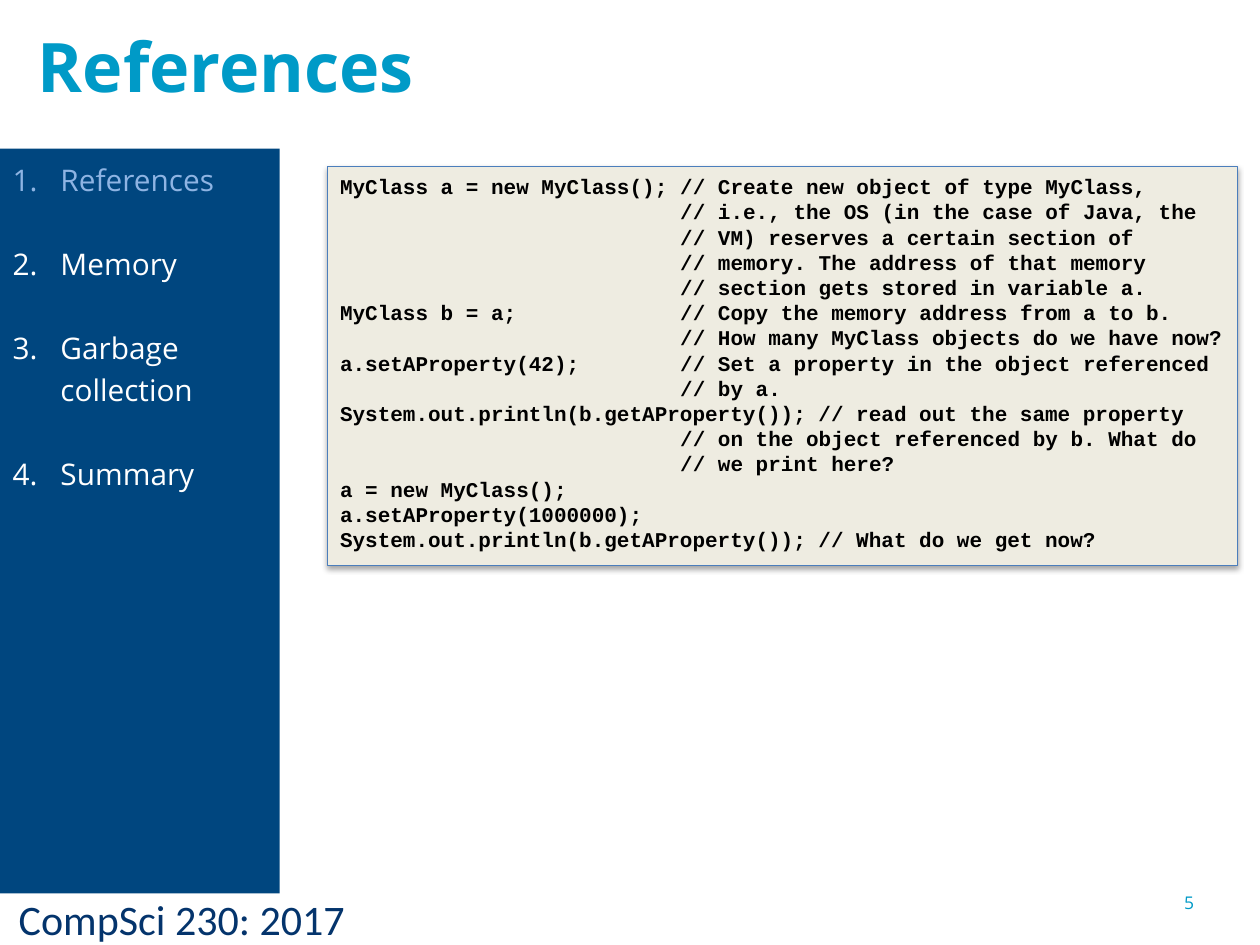
from dataclasses import dataclass

from lxml.etree import SubElement
from pptx import Presentation
from pptx.dml.color import RGBColor
from pptx.enum.shapes import MSO_SHAPE
from pptx.enum.text import MSO_ANCHOR, MSO_AUTO_SIZE, PP_ALIGN
from pptx.oxml.ns import qn
from pptx.util import Inches, Pt

COLORS = {
    "title": "009AC7",
    "footer": "04346C",
    "sidebar": "00467F",
    "current": "8EB4E3",
    "topic": "FFFFFF",
    "panel": "EEECE1",
    "panel_line": "4B7EBC",
    "code": "000000",
}


@dataclass(frozen=True)
class Area:
    left: float
    top: float
    width: float
    height: float

    def lengths(self) -> tuple:
        return tuple(Inches(n) for n in (self.left, self.top, self.width, self.height))


@dataclass(frozen=True)
class Style:
    font: str
    size: float
    color: str
    bold: bool = False


@dataclass(frozen=True)
class Topic:
    text: str
    color: str = "topic"


@dataclass(frozen=True)
class CodeLine:
    code: str
    comment: str = ""
    gap: str = "\t"

    def text(self) -> str:
        return self.code + self.gap + self.comment if self.comment else self.code


TOPICS = [
    Topic("References", "current"),
    Topic("Memory"),
    Topic("Garbage collection"),
    Topic("Summary"),
]
CODE = [
    CodeLine("MyClass a = new MyClass();", "// Create new object of type MyClass,"),
    CodeLine("", "// i.e., the OS (in the case of Java, the"),
    CodeLine("", "// VM) reserves a certain section of"),
    CodeLine("", "// memory. The address of that memory"),
    CodeLine("", "// section gets stored in variable a."),
    CodeLine("MyClass b = a;", "// Copy the memory address from a to b."),
    CodeLine("", "// How many MyClass objects do we have now?"),
    CodeLine("a.setAProperty(42);", "// Set a property in the object referenced"),
    CodeLine("", "// by a."),
    CodeLine("System.out.println(b.getAProperty());", "// read out the same property", " "),
    CodeLine("", "// on the object referenced by b. What do"),
    CodeLine("", "// we print here?"),
    CodeLine("a = new MyClass();"),
    CodeLine("a.setAProperty(1000000);"),
    CodeLine("System.out.println(b.getAProperty());", "// What do we get now?", " "),
]
COMMENT_COLUMN = 2.7
CODE_STYLE = Style("Courier New", 12, "code", True)


def paint(shape, color: str) -> None:
    shape.fill.solid()
    shape.fill.fore_color.rgb = RGBColor.from_string(COLORS[color])


def place(shape, area: Area, anchor=MSO_ANCHOR.TOP):
    shape.left, shape.top, shape.width, shape.height = area.lengths()
    frame = shape.text_frame
    frame.word_wrap = True
    frame.auto_size = MSO_AUTO_SIZE.NONE
    frame.vertical_anchor = anchor
    return frame


def write(para, text: str, style: Style) -> None:
    para.alignment = PP_ALIGN.LEFT
    para.space_before = Pt(0)
    span = para.add_run()
    span.text = text
    span.font.name = style.font
    span.font.size = Pt(style.size)
    span.font.bold = style.bold
    span.font.color.rgb = RGBColor.from_string(COLORS[style.color])


def next_paragraph(frame, index: int):
    return frame.add_paragraph() if index else frame.paragraphs[0]


def add_text_frame(page, area: Area):
    return place(page.shapes.add_textbox(*area.lengths()), area)


def add_label(page, area: Area, text: str, style: Style) -> None:
    write(add_text_frame(page, area).paragraphs[0], text, style)


def add_panel(page, area: Area) -> None:
    panel = page.shapes.add_shape(MSO_SHAPE.RECTANGLE, *area.lengths())
    paint(panel, "panel")
    panel.line.color.rgb = RGBColor.from_string(COLORS["panel_line"])
    panel.line.width = Pt(0.75)
    panel.shadow.inherit = False
    effects = panel._element.spPr.find(qn("a:effectLst"))
    shadow = SubElement(effects, qn("a:outerShdw"), blurRad=str(Pt(3.1)),
                        dist=str(Pt(1.8)), dir="5400000", rotWithShape="0")
    color = SubElement(shadow, qn("a:srgbClr"), val="000000")
    SubElement(color, qn("a:alpha"), val="35000")


def fill_code(frame) -> None:
    for index, line in enumerate(CODE):
        para = next_paragraph(frame, index)
        write(para, line.text(), CODE_STYLE)
        para.line_spacing = Pt(14.4)
        tabs = SubElement(para._p.get_or_add_pPr(), qn("a:tabLst"))
        SubElement(tabs, qn("a:tab"), pos=str(Inches(COMMENT_COLUMN)), algn="l")


def fill_topics(frame) -> None:
    for index, topic in enumerate(TOPICS):
        para = next_paragraph(frame, index)
        write(para, topic.text, Style("Open Sans", 17, topic.color))
        para.line_spacing = Pt(24)
        para.space_after = Pt(24)
        properties = para._p.get_or_add_pPr()
        properties.set("marL", str(Inches(0.38)))
        properties.set("indent", str(Inches(-0.38)))
        SubElement(properties, qn("a:buFont"), typeface="+mj-lt")
        SubElement(properties, qn("a:buAutoNum"), type="arabicPeriod")


deck = Presentation()
deck.slide_width, deck.slide_height = Inches(10), Inches(7.5)
page = deck.slides.add_slide(deck.slide_layouts[1])
title, sidebar = page.placeholders[0], page.placeholders[1]

title_frame = place(title, Area(0.2, 0.13, 7.13, 0.78), MSO_ANCHOR.MIDDLE)
write(title_frame.paragraphs[0], "References", Style("Open Sans", 39, "title", True))
paint(sidebar, "sidebar")
fill_topics(place(sidebar, Area(0, 1.18, 2.22, 5.91)))
add_panel(page, Area(2.6, 1.32, 7.22, 3.17))
fill_code(add_text_frame(page, Area(2.6, 1.33, 7.29, 3.07)))
add_label(page, Area(0.05, 7.04, 4.05, 0.5), "CompSci 230: 2017", Style("Calibri", 24, "footer"))
add_label(page, Area(9.3, 7.03, 0.7, 0.52), "5", Style("Open Sans", 10, "title"))

deck.save("out.pptx")
